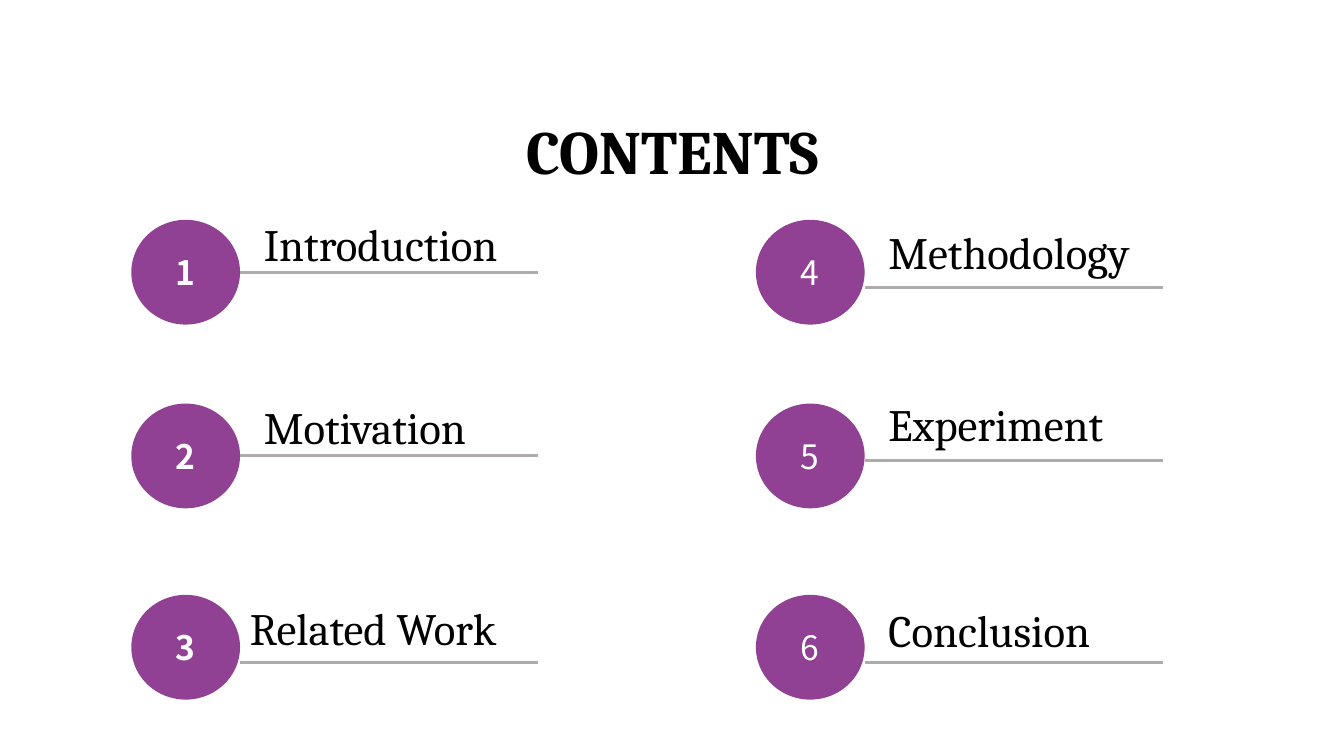
"""Build a contents slide with six numbered topics in two columns."""
from dataclasses import dataclass

import pptx
import pptx.dml.color
import pptx.enum.shapes
import pptx.enum.text
import pptx.oxml
import pptx.oxml.ns
import pptx.shapes.base
import pptx.slide
import pptx.util

Cm = pptx.util.Cm
RGBColor = pptx.dml.color.RGBColor
Align = pptx.enum.text.PP_ALIGN
Anchor = pptx.enum.text.MSO_ANCHOR

PURPLE = RGBColor(0x91, 0x41, 0x94)
GREY = RGBColor(0xAF, 0xAB, 0xAB)
BLACK = RGBColor(0, 0, 0)
WHITE = RGBColor(255, 255, 255)
SERIF = "Cambria"
SANS = "Noto Sans CJK SC"

COLS = (3.31, 19.05)
ROWS = (5.54, 10.17, 14.99)
DISC_W, DISC_H = 2.74, 2.64
RULE_W = 7.52
LABEL_H = 1.62


@dataclass
class Topic:
    name: str
    top: float
    rule: float
    shift: float = 3.09


TOPICS = (
    Topic("Introduction", 5.33, 6.86),
    Topic("Motivation", 9.96, 11.48),
    Topic("Related Work", 15.01, 16.69, 2.74),
    Topic("Methodology", 5.54, 7.24),
    Topic("Experiment", 9.88, 11.61),
    Topic("Conclusion", 15.06, 16.69),
)


def write(shape: pptx.shapes.base.BaseShape, text: str, *, size: int,
          font: str = SERIF, color: RGBColor = BLACK, bold: bool = False,
          align: Align = Align.LEFT, anchor: Anchor = Anchor.TOP,
          space: float = 1.0) -> None:
    frame = shape.text_frame
    frame.word_wrap = True
    frame.vertical_anchor = anchor
    para = frame.paragraphs[0]
    para.alignment = align
    para.line_spacing = space
    run = para.add_run()
    run.text = text
    run.font.size = pptx.util.Pt(size)
    run.font.name = font
    run.font.bold = bold
    run.font.color.rgb = color


def add_topic(slide: pptx.slide.Slide, num: int, topic: Topic) -> None:
    col, row = divmod(num - 1, len(ROWS))
    left = COLS[col]
    disc = slide.shapes.add_shape(
        pptx.enum.shapes.MSO_SHAPE.OVAL,
        Cm(left), Cm(ROWS[row]), Cm(DISC_W), Cm(DISC_H))
    disc.shadow.inherit = False
    disc.fill.solid()
    disc.fill.fore_color.rgb = PURPLE
    disc.line.fill.background()
    write(disc, str(num), size=24, font=SANS, color=WHITE, bold=col == 0,
          align=Align.CENTER, anchor=Anchor.MIDDLE)

    label = slide.shapes.add_textbox(
        Cm(left + topic.shift), Cm(topic.top), Cm(RULE_W), Cm(LABEL_H))
    write(label, topic.name, size=32)

    start = left + DISC_W
    rule = slide.shapes.add_connector(
        pptx.enum.shapes.MSO_CONNECTOR.STRAIGHT,
        Cm(start), Cm(topic.rule), Cm(start + RULE_W), Cm(topic.rule))
    rule.line.color.rgb = GREY
    rule.line.width = pptx.util.Pt(2)
    props = rule._element.spPr
    props.append(pptx.oxml.parse_xml(
        f"<a:effectLst {pptx.oxml.ns.nsdecls('a')}/>"))


def main() -> None:
    deck = pptx.Presentation()
    deck.slide_width, deck.slide_height = Cm(33.87), Cm(19.05)
    slide = deck.slides.add_slide(deck.slide_layouts[6])
    title = slide.shapes.add_textbox(Cm(2.34), Cm(2.74), Cm(29.21), Cm(2.29))
    write(title, "CONTENTS", size=44, bold=True, align=Align.CENTER,
          anchor=Anchor.MIDDLE, space=0.9)
    for num, topic in enumerate(TOPICS, 1):
        add_topic(slide, num, topic)
    deck.save("out.pptx")


if __name__ == "__main__":
    main()
